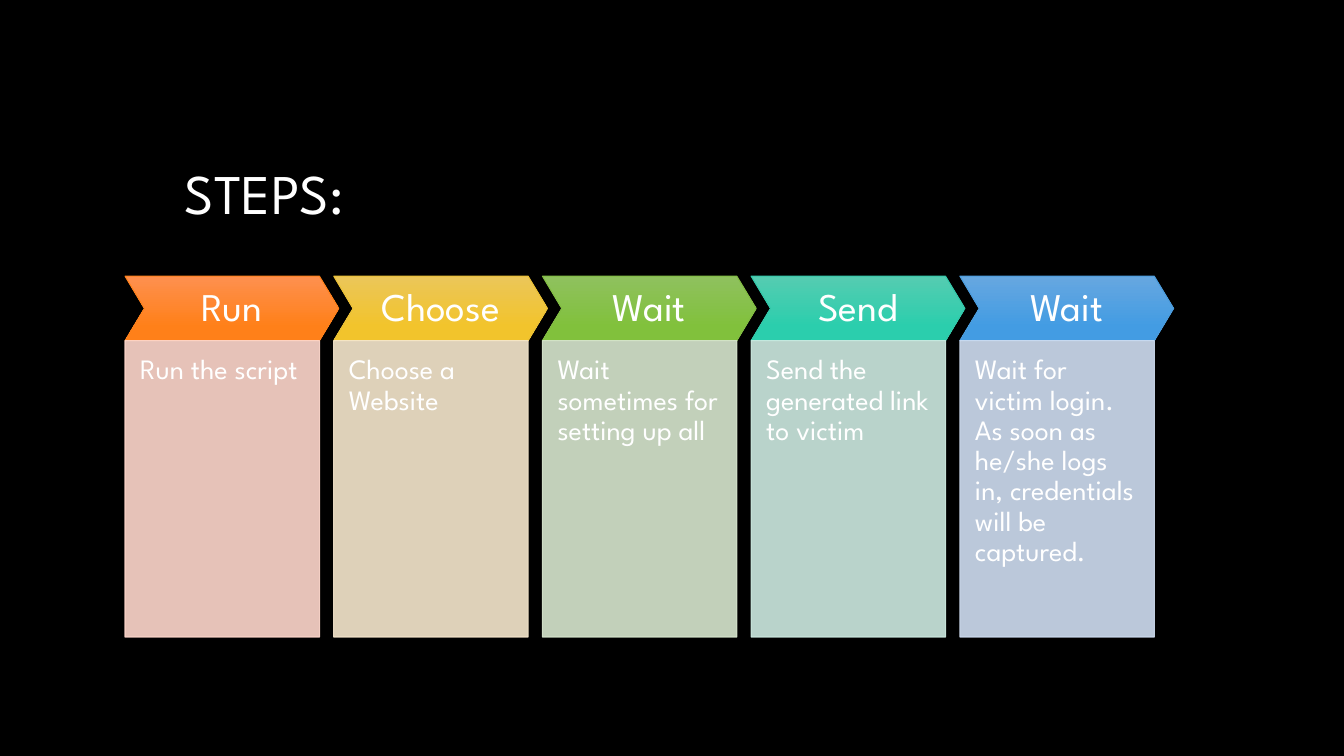
from pptx import Presentation
from pptx import util as u
from pptx.dml.color import RGBColor
from pptx.enum import shapes, text
from pptx.oxml.ns import qn
from lxml import etree

# Content: heading, detail, gradient top, gradient bottom, outline, panel tint
TITLE = "STEPS:"
STEPS = [
    ("Run", "Run the script", "FE904F", "FF8019", "FE801A", "FFD8CD"),
    ("Choose", "Choose a Website", "EBC659", "F2C42C", "E9BF35", "F7E8CE"),
    ("Wait", "Wait sometimes for setting up all", "8FC15E", "81C13C", "81BB42", "D8E7CF"),
    ("Send", "Send the generated link to victim", "55CCB1", "2BCEAD", "32C7A9", "CEEBE2"),
    ("Wait", "Wait for victim login. As soon as he/she logs in, credentials will be captured.",
     "66A7E0", "439CE3", "4A9BDC", "D0DEF2"),
]

# Theme
THEME = {
    "font": "League Spartan", "background": "000000", "text": "FFFFFF",
    "title": 40, "heading": 28, "detail": 20,
    "outline": 0.75, "opacity": 90, "point": 0.3, "gradient_end": 0.78,
}

# Layout in px, 100 to the inch
PX = 9144
SLIDE = (1333, 750)
TITLE_BOX = (81, 111, 270, 168)
LEFT, TOP, PITCH = 124, 274, 207
ARROW_W, ARROW_H = 212, 64
PANEL_W, PANEL_H = 193, 294


def px(value):
    return u.Emu(value * PX)


def color(name):
    return RGBColor.from_string(name)


def set_all(target, values):
    for name, value in values.items():
        setattr(target, name, value)


def write(shape, words, size, align, anchor, margins):
    frame = shape.text_frame
    set_all(frame, {"word_wrap": True, "auto_size": text.MSO_AUTO_SIZE.NONE,
                    "vertical_anchor": anchor})
    for side, margin in zip(("left", "top", "right", "bottom"), margins):
        setattr(frame, f"margin_{side}", px(margin))
    para = frame.paragraphs[0]
    set_all(para, {"alignment": align, "line_spacing": 0.9})
    span = para.add_run()
    span.text = words
    set_all(span.font, {"name": THEME["font"], "size": u.Pt(THEME[size])})
    span.font.color.rgb = color(THEME["text"])


def add_block(page, kind, box, outline):
    shape = page.shapes.add_shape(kind, *map(px, box))
    shape.shadow.inherit = False
    shape.line.color.rgb = color(outline)
    shape.line.width = u.Pt(THEME["outline"])
    return shape


def add_arrow(page, x, heading, start, end, outline):
    arrow = add_block(page, shapes.MSO_SHAPE.CHEVRON, (x, TOP, ARROW_W, ARROW_H), outline)
    arrow.adjustments[0] = THEME["point"]
    arrow.fill.gradient()
    arrow.fill.gradient_angle = 270
    stops = ((0, start), (THEME["gradient_end"], end))
    for stop, (position, tone) in zip(arrow.fill.gradient_stops, stops):
        stop.position = position
        stop.color.rgb = color(tone)
    write(arrow, heading, "heading", text.PP_ALIGN.CENTER, text.MSO_ANCHOR.MIDDLE, (8, 8, 8, 8))


def add_panel(page, x, detail, tint):
    box = (x, TOP + ARROW_H, PANEL_W, PANEL_H)
    panel = add_block(page, shapes.MSO_SHAPE.RECTANGLE, box, tint)
    panel.fill.solid()
    panel.fill.fore_color.rgb = color(tint)
    # Fill and outline are both slightly transparent
    for tone in panel._element.spPr.iter(qn("a:srgbClr")):
        etree.SubElement(tone, qn("a:alpha")).set("val", str(THEME["opacity"] * 1000))
    write(panel, detail, "detail", text.PP_ALIGN.LEFT, text.MSO_ANCHOR.TOP, (15, 15, 15, 31))


def main():
    deck = Presentation()
    deck.slide_width, deck.slide_height = map(px, SLIDE)
    page = deck.slides.add_slide(deck.slide_layouts[5])
    page.background.fill.solid()
    page.background.fill.fore_color.rgb = color(THEME["background"])

    # Title
    title = page.shapes.title
    set_all(title, dict(zip(("left", "top", "width", "height"), map(px, TITLE_BOX))))
    write(title, TITLE, "title", text.PP_ALIGN.RIGHT, text.MSO_ANCHOR.MIDDLE, (10, 5, 10, 5))

    # One arrow and one panel per step
    for index, (heading, detail, start, end, outline, tint) in enumerate(STEPS):
        x = LEFT + index * PITCH
        add_arrow(page, x, heading, start, end, outline)
        add_panel(page, x, detail, tint)

    deck.save("out.pptx")


if __name__ == "__main__":
    main()
